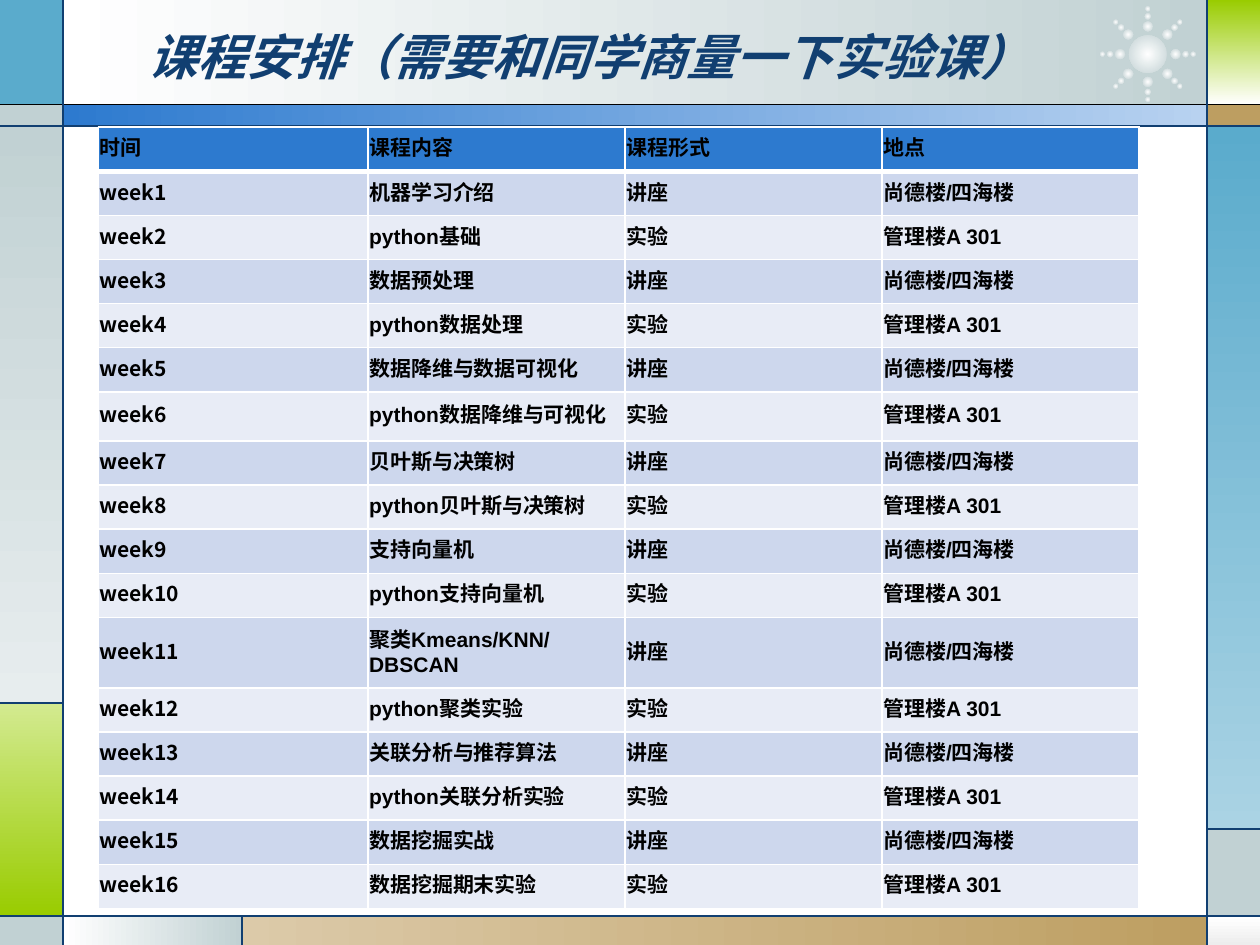
import math
import pptx
import pptx.util
import pptx.dml.color
import pptx.enum.shapes
import pptx.enum.text
import pptx.oxml
import pptx.oxml.ns
from lxml import etree

Inches, Pt = pptx.util.Inches, pptx.util.Pt
RGB = pptx.dml.color.RGBColor.from_string
SHAPE = pptx.enum.shapes.MSO_SHAPE
MIDDLE = pptx.enum.text.MSO_ANCHOR.MIDDLE
qn = pptx.oxml.ns.qn

C = {"white": "FFFFFF", "black": "000000", "navy": "113F71", "blue": "2D7ACF",
     "pale_blue": "B8D2F0", "sky": "5AABCC", "pale_sky": "AAD3E4",
     "grey": "C1D1D3", "pale_grey": "E7EDEE", "silver": "EDEDED",
     "green": "99CC00", "pale_green": "D3EA90", "tan": "BD9E61",
     "pale_tan": "DCCAA9", "odd": "CDD7ED", "even": "E8ECF6"}

prs = pptx.Presentation()
prs.slide_width, prs.slide_height = Inches(10), Inches(7.5)
s = prs.slides.add_slide(prs.slide_layouts[5])


def add_block(kind, x, y, w, h, start, end=None, angle=0):
    sp = s.shapes.add_shape(kind, Inches(x), Inches(y), Inches(w), Inches(h))
    sp.shadow.inherit = False
    sp.line.fill.background()
    if end is None:
        sp.fill.solid()
        sp.fill.fore_color.rgb = RGB(C[start])
        return sp
    sp.fill.gradient()
    sp.fill.gradient_angle = angle
    for stop, name, position in zip(sp.fill.gradient_stops, (start, end), (0, 1)):
        stop.color.rgb = RGB(C[name])
        stop.position = position
    return sp


def add_glow(cx, cy, d):
    sp = add_block(SHAPE.OVAL, cx - d / 2, cy - d / 2, d, d, "white", "grey")
    grad = sp.element.spPr.find(qn("a:gradFill"))
    grad.remove(grad.find(qn("a:lin")))
    radial = etree.SubElement(grad, qn("a:path"), path="circle")
    etree.SubElement(radial, qn("a:fillToRect"), l="50000", t="50000", r="50000", b="50000")


LEFT, RIGHT, TOP, BAND, BOTTOM = 0.5, 9.58, 0.83, 1, 7.27
GREEN_TOP, TAN_LEFT, GREY_TOP = 5.58, 1.92, 6.58
DOWN = 270
side = 10 - RIGHT
foot = 7.5 - BOTTOM

for x, y, w, h, *paint in [
    (LEFT, 0, RIGHT - LEFT, TOP, "white", "grey"),
    (0, 0, LEFT, TOP, "sky"),
    (0, TOP, LEFT, BAND - TOP, "grey"),
    (0, BAND, LEFT, GREEN_TOP - BAND, "grey", "pale_grey", DOWN),
    (0, GREEN_TOP, LEFT, BOTTOM - GREEN_TOP, "pale_green", "green", DOWN),
    (0, BOTTOM, LEFT, foot, "grey"),
    (LEFT, BOTTOM, TAN_LEFT - LEFT, foot, "white", "grey"),
    (TAN_LEFT, BOTTOM, RIGHT - TAN_LEFT, foot, "pale_tan", "tan"),
    (RIGHT, BOTTOM, side, foot, "white", "silver", DOWN),
    (RIGHT, GREY_TOP, side, BOTTOM - GREY_TOP, "grey"),
    (RIGHT, BAND, side, GREY_TOP - BAND, "sky", "pale_sky", DOWN),
    (RIGHT, TOP, side, BAND - TOP, "tan"),
    (RIGHT, 0, side, TOP, "green", "white", DOWN),
    (LEFT, TOP, RIGHT - LEFT, BAND - TOP, "blue", "pale_blue"),
]:
    add_block(SHAPE.RECTANGLE, x, y, w, h, *paint)

sun_x, sun_y = 9.11, 0.43
add_glow(sun_x, sun_y, 0.3)
for ray in range(8):
    a = math.radians(45 * ray)
    for radius, d in [(0.22, 0.08), (0.3, 0.05), (0.36, 0.04)]:
        add_glow(sun_x + radius * math.cos(a), sun_y + radius * math.sin(a), d)

for x1, y1, x2, y2, color in [
    (0, TOP, 10, TOP, "black"),
    (0, BAND, 10, BAND, "navy"),
    (0, BOTTOM, 10, BOTTOM, "navy"),
    (LEFT, 0, LEFT, 7.5, "navy"),
    (RIGHT, 0, RIGHT, 7.5, "navy"),
    (0, GREEN_TOP, LEFT, GREEN_TOP, "navy"),
    (TAN_LEFT, BOTTOM, TAN_LEFT, 7.5, "navy"),
    (RIGHT, GREY_TOP, 10, GREY_TOP, "navy"),
]:
    line = s.shapes.add_connector(pptx.enum.shapes.MSO_CONNECTOR.STRAIGHT,
                                  Inches(x1), Inches(y1), Inches(x2), Inches(y2))
    line.line.color.rgb = RGB(C[color])
    line.line.width = Pt(0.75)
    etree.SubElement(line.element.spPr, qn("a:effectLst"))

title = s.shapes.title
title.element.getparent().append(title.element)
title.left, title.top, title.width, title.height = map(Inches, (1.08, 0.13, 7.33, 0.62))
tf = title.text_frame
tf.text = "课程安排（需要和同学商量一下实验课）"
tf.vertical_anchor = MIDDLE
tf.auto_size = pptx.enum.text.MSO_AUTO_SIZE.NONE
p = tf.paragraphs[0]
p.alignment = pptx.enum.text.PP_ALIGN.LEFT
p.font.name, p.font.size = "DejaVu Sans", Pt(28)
p.font.bold = p.font.italic = True
p.font.color.rgb = RGB(C["navy"])

topics = ["机器学习介绍", "python基础", "数据预处理", "python数据处理",
          "数据降维与数据可视化", "python数据降维与可视化", "贝叶斯与决策树",
          "python贝叶斯与决策树", "支持向量机", "python支持向量机",
          "聚类Kmeans/KNN/DBSCAN", "python聚类实验", "关联分析与推荐算法",
          "python关联分析实验", "数据挖掘实战", "数据挖掘期末实验"]
sessions = [("讲座", "尚德楼/四海楼"), ("实验", "管理楼A 301")]
rows = [("时间", "课程内容", "课程形式", "地点")]
rows += [(f"week{i + 1}", topic, *sessions[i % 2]) for i, topic in enumerate(topics)]

table = s.shapes.add_table(len(rows), 4, Inches(0.78), Inches(1.01),
                           Inches(8.27), Inches(6.19)).table
for column, width in zip(table.columns, (2.14, 2.04, 2.04, 2.04)):
    column.width = Inches(width)
for i, row in enumerate(rows):
    table.rows[i].height = Inches({6: 0.39, 11: 0.56}.get(i, 0.35))
    for j, text in enumerate(row):
        cell = table.cell(i, j)
        cell.text = text
        cell.vertical_anchor = MIDDLE
        cell.margin_left = cell.margin_top = cell.margin_right = Inches(0.01)
        cell.margin_bottom = Inches(0.05)
        cell.fill.solid()
        cell.fill.fore_color.rgb = RGB(C["blue" if i == 0 else "odd" if i % 2 else "even"])
        p = cell.text_frame.paragraphs[0]
        p.font.name = "Noto Sans CJK SC" if i and j == 0 else "Arial"
        p.font.size, p.font.bold = Pt(12), True
        p.font.color.rgb = RGB(C["black"])
        tcPr = cell._tc.get_or_add_tcPr()
        for k, edge in enumerate(("lnL", "lnR", "lnT", "lnB")):
            thick = (i, edge) in [(0, "lnB"), (1, "lnT")]
            ln = etree.Element(qn(f"a:{edge}"), w=str(Pt(3 if thick else 1)))
            fill = etree.SubElement(ln, qn("a:solidFill"))
            etree.SubElement(fill, qn("a:srgbClr"), val=C["white"])
            tcPr.insert(k, ln)

prs.save("out.pptx")
